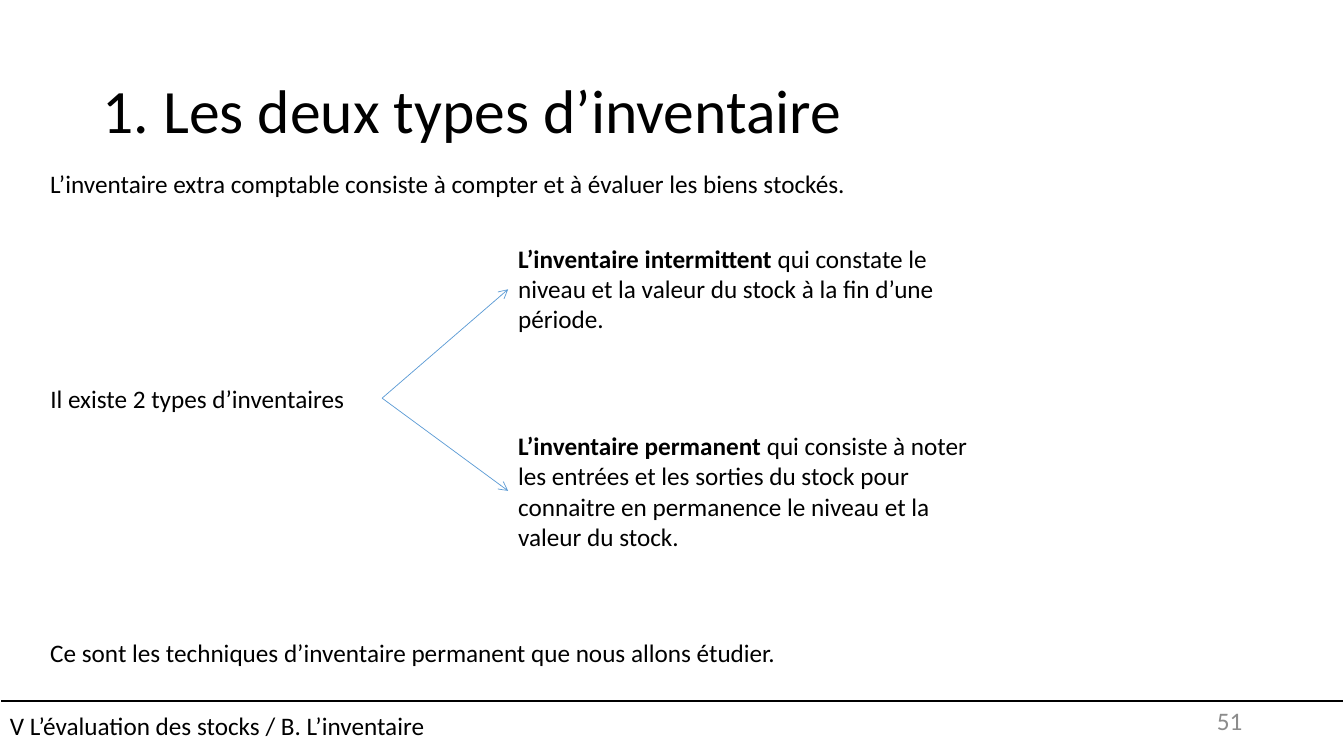
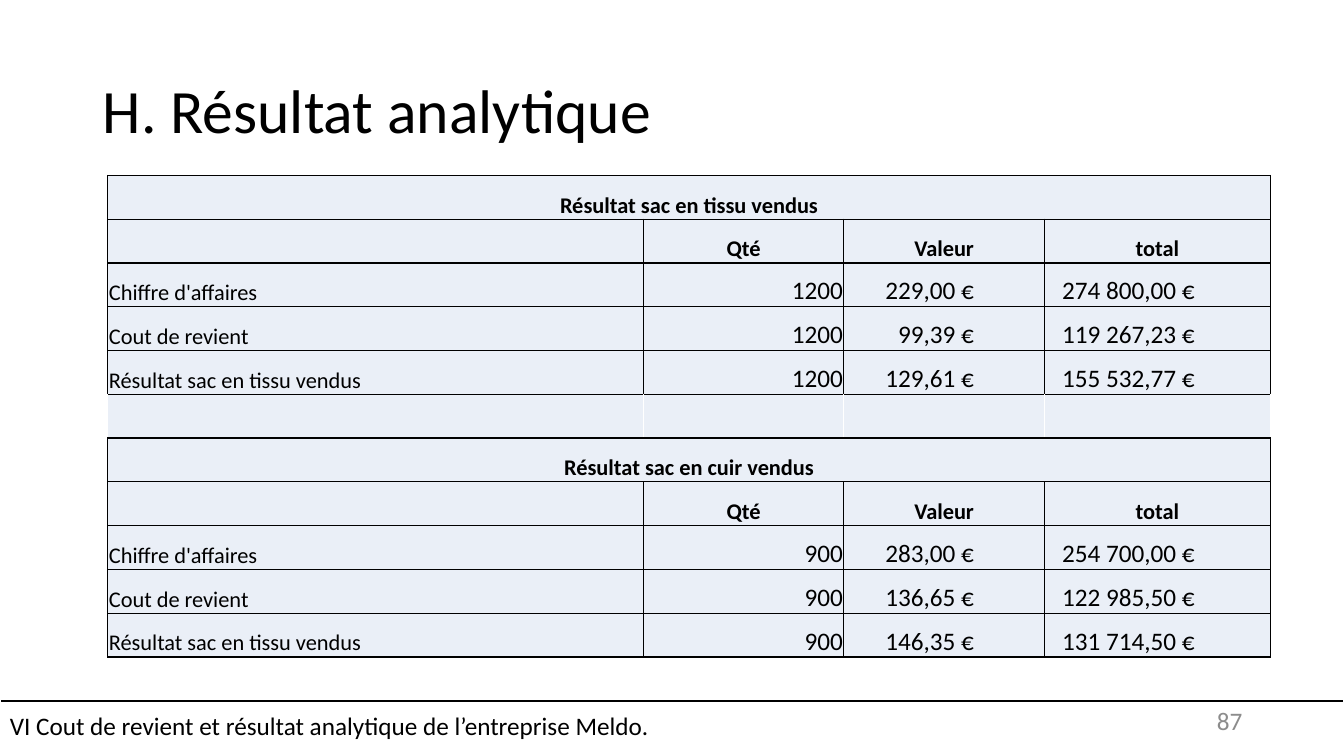
from lxml import etree
from pptx import Presentation
from pptx.dml.color import RGBColor
from pptx.enum import shapes, text
from pptx.oxml import ns
from pptx.util import Inches, Pt

FONT = "Calibri"
BLACK = RGBColor(0x00, 0x00, 0x00)
WHITE = RGBColor(0xFF, 0xFF, 0xFF)
GREY = RGBColor(0x8C, 0x8C, 0x8C)
BLUE = RGBColor(0x5B, 0x9B, 0xD5)
PALE_BLUE = RGBColor(0xEA, 0xEF, 0xF7)
LEFT, CENTER, RIGHT = text.PP_ALIGN.LEFT, text.PP_ALIGN.CENTER, text.PP_ALIGN.RIGHT
MIDDLE, BOTTOM = text.MSO_ANCHOR.MIDDLE, text.MSO_ANCHOR.BOTTOM

SLIDE_W, SLIDE_H = 13.33, 7.5
TITLE_BOX = (0.92, 0.4, 11.5, 1.45)
FOOTER_BOX = (0, 6.9, SLIDE_W, 0.6)
TEXT_H = 0.4

COLUMN_WIDTHS = (5.31, 1.99, 1.99, 2.24)
COLUMN_ALIGNS = (LEFT, RIGHT, RIGHT, RIGHT)
COLUMN_RIGHT_MARGINS = (0.01, 0.01, 0.7, 0.75)
COLUMN_HEADS = ("", "Qté", "Valeur", "total")
RESULTS = (
    ("Résultat sac en tissu vendus", (
        ("Chiffre d'affaires", "1200", "229,00 €", "274 800,00 €"),
        ("Cout de revient", "1200", "99,39 €", "119 267,23 €"),
        ("Résultat sac en tissu vendus", "1200", "129,61 €", "155 532,77 €"))),
    ("Résultat sac en cuir vendus", (
        ("Chiffre d'affaires", "900", "283,00 €", "254 700,00 €"),
        ("Cout de revient", "900", "136,65 €", "122 985,50 €"),
        ("Résultat sac en tissu vendus", "900", "146,35 €", "131 714,50 €"))),
)


def style(p, size=18, color=BLACK, align=LEFT, bold=None):
    p.alignment = align
    p.font.name, p.font.size, p.font.bold = FONT, Pt(size), bold
    p.font.color.rgb = color


def add_text(s, box, words, lead="", anchor=text.MSO_ANCHOR.TOP, **look):
    """Add a text box; lead is the bold opening of the sentence."""
    tf = s.shapes.add_textbox(*map(Inches, box)).text_frame
    tf.word_wrap = True
    tf.vertical_anchor = anchor
    p = tf.paragraphs[0]
    if lead:
        r = p.add_run()
        r.text, r.font.bold = lead, True
    p.add_run().text = words
    style(p, **look)
    return p


def add_line(s, start, end, color, width, arrow=False):
    line = s.shapes.add_connector(shapes.MSO_CONNECTOR.STRAIGHT,
                                  *map(Inches, start + end))
    line.line.color.rgb = color
    line.line.width = Pt(width)
    if arrow:
        etree.SubElement(line.line._get_or_add_ln(), ns.qn("a:tailEnd"), type="arrow")
    etree.SubElement(line._element.spPr, ns.qn("a:effectLst"))


def add_footer(s, box, words, number):
    left, top, width, height = box
    rule_y = top + 0.05
    add_line(s, (left, rule_y), (left + width, rule_y), BLACK, 1.5)
    sp = s.shapes.add_shape(shapes.MSO_SHAPE.RECTANGLE, *map(Inches, box))
    sp.shadow.inherit = False
    sp.fill.background()
    sp.line.color.rgb = WHITE
    sp.line.width = Pt(1)
    tf = sp.text_frame
    tf.vertical_anchor = MIDDLE
    tf.text = words
    style(tf.paragraphs[0])
    add_text(s, (left + 9.42, rule_y, 3, TEXT_H), number,
             anchor=MIDDLE, color=GREY, align=RIGHT)


def new_slide(prs, title, footer, number):
    s = prs.slides.add_slide(prs.slide_layouts[6])
    add_text(s, TITLE_BOX, title, anchor=MIDDLE, size=44).line_spacing = 0.9
    add_footer(s, FOOTER_BOX, footer, number)
    return s


def add_fork(s, box, question, branches):
    """Draw a question with an arrow to each (top, height, arrow y, lead, words)."""
    left, top, width, _ = box
    fork_x, branch_x = left + 3.39, left + 4.64
    middle = top + 1.59
    add_text(s, (left, middle - TEXT_H / 2, fork_x - left, TEXT_H), question)
    for dy, height, arrow_dy, lead, words in branches:
        add_line(s, (fork_x, middle), (branch_x, top + arrow_dy), BLUE, 0.5, arrow=True)
        add_text(s, (branch_x, top + dy, left + width - branch_x, height), words, lead)


def set_borders(cell, sides):
    tc_pr = cell._tc.get_or_add_tcPr()
    for side, color in zip("LRTB", sides):
        ln = etree.SubElement(tc_pr, ns.qn(f"a:ln{side}"), w=str(Pt(1)))
        fill = etree.SubElement(ln, ns.qn("a:solidFill"))
        etree.SubElement(fill, ns.qn("a:srgbClr"), val=str(color))


def fill_cell(cell, words, size, align, bold, right_margin=0.01):
    cell.margin_left = cell.margin_top = Inches(0.01)
    cell.margin_right, cell.margin_bottom = Inches(right_margin), 0
    cell.vertical_anchor = BOTTOM
    cell.text = words
    style(cell.text_frame.paragraphs[0], size, BLACK, align, bold)


def add_results_table(s, box, results):
    """Stack one block per product, with an open row between blocks."""
    block_rows = [2 + len(lines) for _, lines in results]
    n_rows = sum(block_rows) + len(results) - 1
    table = s.shapes.add_table(n_rows, len(COLUMN_WIDTHS), *map(Inches, box)).table
    table.first_row = table.horz_banding = False
    for column, width in zip(table.columns, COLUMN_WIDTHS):
        column.width = Inches(width)
    for row in table.rows:
        row.height = Inches(box[3] / n_rows)

    spacers = {sum(block_rows[:i]) + i - 1 for i in range(1, len(results))}
    for i, row in enumerate(table.rows):
        upright = WHITE if i in spacers else BLACK
        for cell in row.cells:
            set_borders(cell, (upright, upright, BLACK, BLACK))
            cell.fill.solid()
            cell.fill.fore_color.rgb = PALE_BLUE

    top = 0
    for (heading, lines), rows in zip(results, block_rows):
        table.cell(top, 0).merge(table.cell(top, len(COLUMN_WIDTHS) - 1))
        fill_cell(table.cell(top, 0), heading, 16, CENTER, True)
        for c, head in enumerate(COLUMN_HEADS):
            fill_cell(table.cell(top + 1, c), head, 16, CENTER, True)
        for r, line in enumerate(lines, top + 2):
            for c, words in enumerate(line):
                fill_cell(table.cell(r, c), words, 18 if c else 16, COLUMN_ALIGNS[c],
                          False, COLUMN_RIGHT_MARGINS[c])
        top += rows + 1


def inventory_slide(prs):
    s = new_slide(prs, "1. Les deux types d’inventaire",
                  "V L’évaluation des stocks / B. L’inventaire", "51")
    add_fork(s, (0.4, 2.36, 9.36, 3.17), "Il existe 2 types d’inventaires", (
        (0, 1.01, 0.51, "L’inventaire intermittent ",
         "qui constate le niveau et la valeur du stock à la fin d’une période."),
        (1.86, 1.31, 2.51, "L’inventaire permanent ",
         "qui consiste à noter les entrées et les sorties du stock pour connaitre "
         "en permanence le niveau et la valeur du stock.")))
    for top, words in (
            (1.62, "L’inventaire extra comptable consiste à compter et à évaluer "
                   "les biens stockés."),
            (6.27, "Ce sont les techniques d’inventaire permanent que nous allons "
                   "étudier.")):
        add_text(s, (0.4, top, 8.9, TEXT_H), words)


def results_slide(prs):
    s = new_slide(prs, "H. Résultat analytique",
                  "VI Cout de revient et résultat analytique de l’entreprise Meldo.", "87")
    add_results_table(s, (1.07, 1.74, sum(COLUMN_WIDTHS), 4.78), RESULTS)


def main():
    prs = Presentation()
    prs.slide_width, prs.slide_height = Inches(SLIDE_W), Inches(SLIDE_H)
    inventory_slide(prs)
    results_slide(prs)
    prs.save("out.pptx")


if __name__ == "__main__":
    main()
